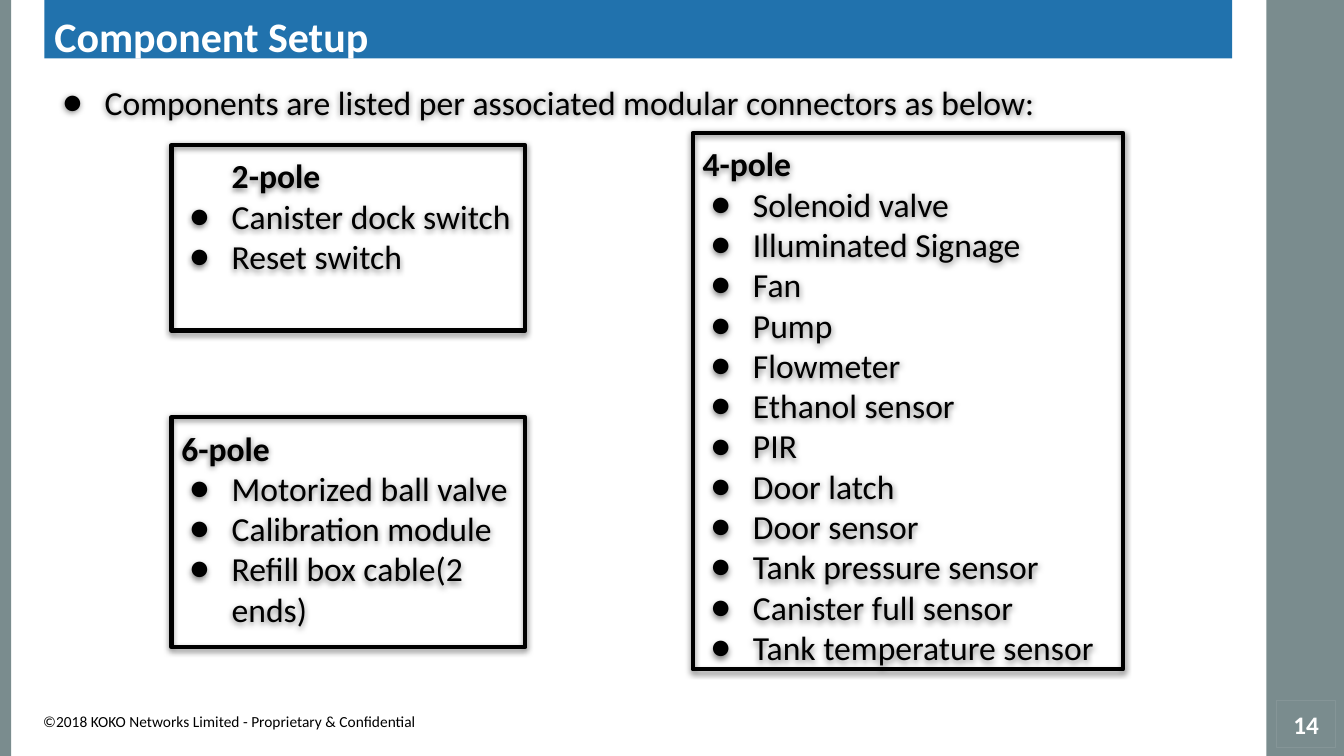
from lxml.etree import SubElement
from pptx import Presentation
from pptx.dml.color import RGBColor
from pptx.enum.shapes import MSO_SHAPE
from pptx.enum.text import MSO_ANCHOR, PP_ALIGN
from pptx.oxml.ns import qn
from pptx.util import Emu, Inches, Pt

BLACK = RGBColor(0x00, 0x00, 0x00)
WHITE = RGBColor(0xFF, 0xFF, 0xFF)
BLUE = RGBColor(0x21, 0x72, 0xAD)
SLATE = RGBColor(0x7A, 0x8C, 0x8E)
PALE_SLATE = RGBColor(0x85, 0x95, 0x97)

FONT = "Calibri"
CELLS_PER_INCH = 12
ROWS = 90
LEFT_COL = 20.4
LEFT_BOX_COLS = 42.12
BODY_COL, BODY_COLS = 5.28, 141.36

POLE_BOXES = [
    ("2-pole", 0.5, (LEFT_COL, 17.28, LEFT_BOX_COLS, 22.08),
     ["Canister dock switch", "Reset switch"]),
    ("4-pole", 0, (82.44, 15.84, 51.24, 63.84),
     ["Solenoid valve", "Illuminated Signage", "Fan", "Pump", "Flowmeter",
      "Ethanol sensor", "PIR", "Door latch", "Door sensor",
      "Tank pressure sensor", "Canister full sensor",
      "Tank temperature sensor"]),
    ("6-pole", 0, (LEFT_COL, 49.68, LEFT_BOX_COLS, 27.36),
     ["Motorized ball valve", "Calibration module",
      "Refill box cable(2 ends)"]),
]


def add_text(tf, text, size=24, color=BLACK, bold=False,
             align=PP_ALIGN.LEFT, margin=0, bullet=False):
    p = tf.paragraphs[0] if not tf.text else tf.add_paragraph()
    p.alignment = align
    pPr = p._p.get_or_add_pPr()
    pPr.set("marL", str(Inches(0.5 if bullet else margin)))
    pPr.set("indent", str(Inches(-0.42 if bullet else 0)))
    if bullet:
        buClr = SubElement(pPr, qn("a:buClr"))
        SubElement(buClr, qn("a:srgbClr"), val=str(BLACK))
        SubElement(pPr, qn("a:buFont"), typeface=FONT)
        SubElement(pPr, qn("a:buChar"), char="●")
    r = p.add_run()
    r.text = text
    r.font.name = FONT
    r.font.size = Pt(size)
    r.font.bold = bold
    r.font.color.rgb = color


class ComponentSlide:
    def __init__(self, prs):
        self.s = prs.slides.add_slide(prs.slide_layouts[6])
        self.s.background.fill.solid()
        self.s.background.fill.fore_color.rgb = WHITE

    def place(self, cells):
        return [Emu(round(Inches(1) * n / CELLS_PER_INCH)) for n in cells]

    def frame(self, sp, inset=0.1, anchor=MSO_ANCHOR.TOP):
        tf = sp.text_frame
        tf.word_wrap = True
        tf.vertical_anchor = anchor
        tf.margin_left = tf.margin_right = Inches(0.1)
        tf.margin_top = tf.margin_bottom = Inches(inset)
        return tf

    def rect(self, cells, fill=None, line=None, width=0, shadow=False):
        sp = self.s.shapes.add_shape(MSO_SHAPE.RECTANGLE, *self.place(cells))
        if fill is None:
            sp.fill.background()
        else:
            sp.fill.solid()
            sp.fill.fore_color.rgb = fill
        if line is None:
            sp.line.fill.background()
        else:
            sp.line.color.rgb = line
            sp.line.width = Pt(width)
        sp.shadow.inherit = False
        if shadow:
            self.drop_shadow(sp)
        return sp

    def drop_shadow(self, sp):
        effects = sp._element.spPr.find(qn("a:effectLst"))
        outer = SubElement(effects, qn("a:outerShdw"), blurRad=str(Pt(4.5)),
                           dist=str(Pt(1.5)), dir="5400000",
                           algn="ctr", rotWithShape="0")
        clr = SubElement(outer, qn("a:srgbClr"), val=str(BLACK))
        SubElement(clr, qn("a:alpha"), val="50000")

    def title(self, text):
        sp = self.rect((BODY_COL, 0, BODY_COLS, 6.96), fill=BLUE)
        add_text(self.frame(sp), text, size=30, color=WHITE, bold=True)

    def intro(self, text):
        sp = self.rect((BODY_COL, 8.52, BODY_COLS, 71.16), shadow=True)
        add_text(self.frame(sp), text, bullet=True)

    def footer(self, text):
        sp = self.s.shapes.add_textbox(
            *self.place((3.96, 84.24, 47.76, 3.48)))
        add_text(self.frame(sp, inset=0.05), text, size=11)

    def page_number(self, text):
        sp = self.rect((151.92, 83.4, 7.08, 5.64), line=PALE_SLATE, width=0.75)
        tf = self.frame(sp, inset=0.05, anchor=MSO_ANCHOR.MIDDLE)
        add_text(tf, text, size=18, color=WHITE, bold=True,
                 align=PP_ALIGN.CENTER)

    def pole_box(self, heading, margin, cells, components):
        sp = self.rect(cells, line=BLACK, width=3, shadow=True)
        tf = self.frame(sp)
        add_text(tf, heading, bold=True, margin=margin)
        for component in components:
            add_text(tf, component, bullet=True)


def main():
    prs = Presentation()
    prs.slide_width = Inches(13.33)
    prs.slide_height = Inches(7.5)
    slide = ComponentSlide(prs)
    slide.rect((150.72, 0, 9.24, ROWS), fill=SLATE)
    slide.rect((0, 0, 1.32, ROWS), fill=SLATE)
    slide.footer("©2018 KOKO Networks Limited - Proprietary & Confidential")
    slide.title("Component Setup")
    slide.intro("Components are listed per associated modular connectors "
                "as below:")
    slide.page_number("14")
    for box in POLE_BOXES:
        slide.pole_box(*box)
    prs.save("out.pptx")


if __name__ == "__main__":
    main()
